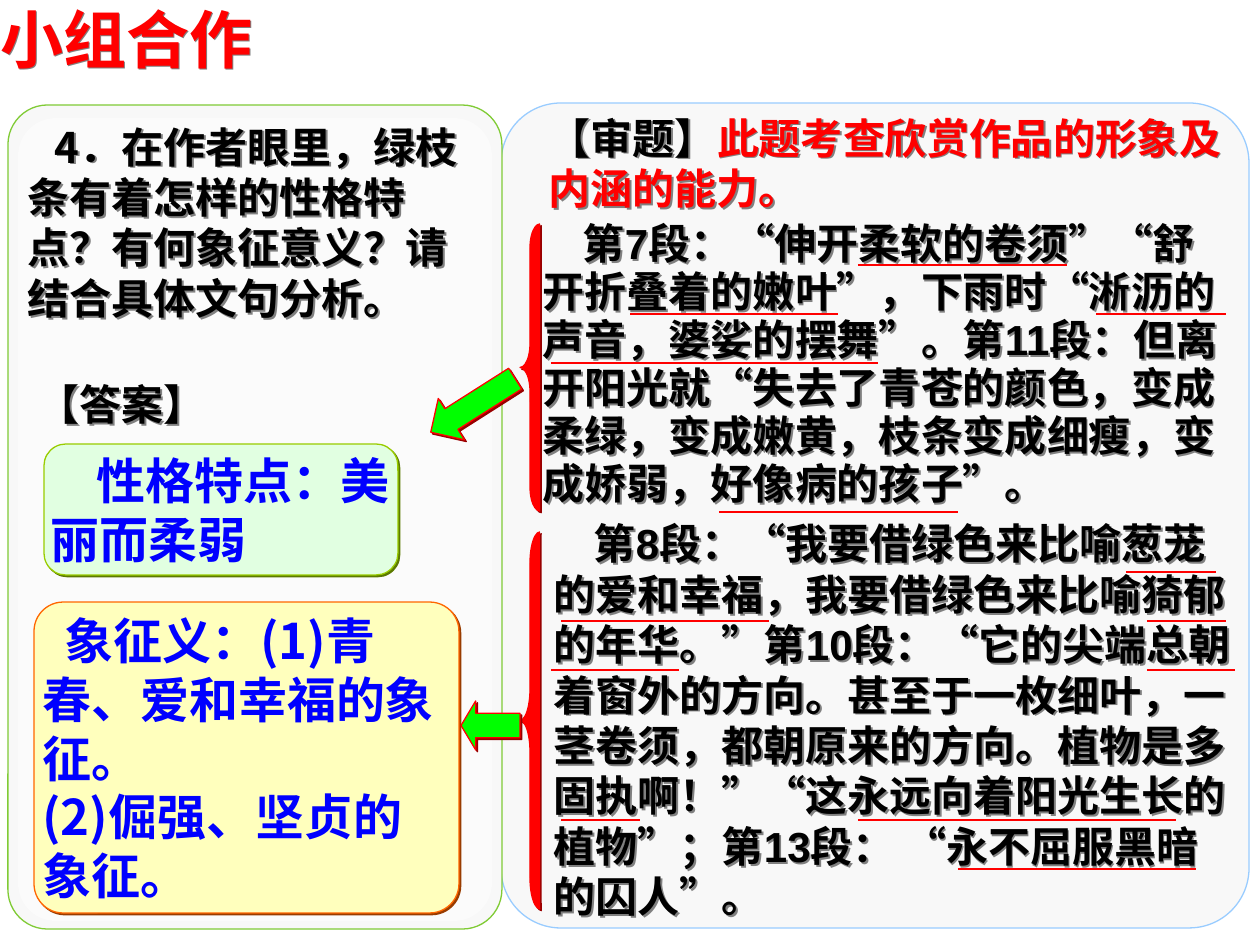
from lxml import etree
from pptx import Presentation
from pptx import util as u
from pptx.dml.color import RGBColor
from pptx.enum import shapes, text
from pptx.oxml.ns import qn

PX = 914400 / 126
COLORS = {
    "red": "FF0000", "black": "000000", "blue": "0000FF", "green": "00FF00",
    "panel": "F8F8F8", "white": "FFFFFF", "sky": "99CCFF", "leaf": "80CB35",
    "mint": "E1FFE1", "lime": "99CC00", "moss": "5B7900",
    "cream": "FFFFBD", "orange": "FF6600", "brown": "983C00",
    "maroon": "980000", "grey": "808080",
}
ARIAL, NOTO = "Arial", "Noto Sans CJK SC"
MSO = shapes.MSO_SHAPE
MIDDLE = text.MSO_ANCHOR.MIDDLE


def px(n):
    return u.Emu(round(n * PX))


def rgb(name):
    return RGBColor.from_string(COLORS[name])


def within(box, x, y, w, h):
    return px(box[0] + x), px(box[1] + y), px(w), px(h)


def add_shadow(sp, color):
    spPr = sp._element.spPr
    for old in spPr.findall(qn("a:effectLst")):
        spPr.remove(old)
    lst = etree.SubElement(spPr, qn("a:effectLst"))
    sh = etree.SubElement(lst, qn("a:outerShdw"), dist="17961", dir="2700000", algn="ctr", rotWithShape="0")
    etree.SubElement(sh, qn("a:srgbClr"), val=COLORS[color])


def add_shape(parent, kind, place, fill, line=None, adj=(), shadow=None):
    sp = parent.add_shape(kind, *place)
    sp.shadow.inherit = False
    for i, value in enumerate(adj):
        sp.adjustments[i] = value
    sp.fill.solid()
    sp.fill.fore_color.rgb = rgb(fill)
    if line:
        sp.line.color.rgb = rgb(line)
        sp.line.width = u.Pt(0.75)
    else:
        sp.line.fill.background()
    if shadow:
        add_shadow(sp, shadow)
    return sp


def write(sp, paragraphs, size, font, indent=0, spacing=1.2, anchor=None, inset=(13, 6, 13)):
    left, top, right = inset
    tf = sp.text_frame
    tf.word_wrap = True
    tf.auto_size = text.MSO_AUTO_SIZE.NONE
    tf.vertical_anchor = anchor or text.MSO_ANCHOR.TOP
    tf.margin_left, tf.margin_right = px(left), px(right)
    tf.margin_top = tf.margin_bottom = px(top)
    for i, runs in enumerate(paragraphs):
        p = tf.add_paragraph() if i else tf.paragraphs[0]
        p.alignment = text.PP_ALIGN.LEFT
        p.line_spacing = u.Pt(round(size * spacing, 1))
        p.space_before = u.Pt(0)
        pPr = p._p.get_or_add_pPr()
        pPr.set("hangingPunct", "0")
        if indent and i == 0:
            pPr.set("indent", str(px(indent)))
        for words, color in runs:
            r = p.add_run()
            r.text = words
            r.font.size = u.Pt(size)
            r.font.bold = True
            r.font.name = font
            r.font.color.rgb = rgb(color)
            rPr = r._r.get_or_add_rPr()
            rPr.set("lang", "zh-CN")
            rPr.find(qn("a:latin")).addnext(etree.Element(qn("a:ea"), typeface=NOTO))


def add_text(s, place, *args, **kwargs):
    sp = s.shapes.add_textbox(*place)
    add_shadow(sp, "grey")
    write(sp, *args, **kwargs)


def add_title(s, box):
    sp = s.shapes.title
    sp.left, sp.top, sp.width, sp.height = within(box, 0, 0, box[2], box[3])
    sp.fill.background()
    add_shadow(sp, "grey")
    write(sp, [[("小组合作", "red")]], 36, ARIAL, inset=(0, 0, 0))


def add_question_panel(s, box):
    group = s.shapes.add_group_shape().shapes
    add_shape(group, MSO.ROUNDED_RECTANGLE, within(box, 0, 0, box[2], box[3]), "panel", "leaf", [0.08])
    inner = add_shape(group, MSO.ROUNDED_RECTANGLE, within(box, 10, 13, 474, 803), "white", adj=[0.08])
    clr = inner._element.spPr.find(qn("a:solidFill"))[0]
    etree.SubElement(clr, qn("a:alpha"), val="50000")
    add_text(s, within(box, 7, 10, 456, 214),
             [[("4．在作者眼里，绿枝条有着怎样的性格特点？有何象征意义？请结合具体文句分析。", "black")]],
             24, NOTO, indent=27, anchor=MIDDLE)
    add_text(s, within(box, 17, 268, 238, 63), [[("【答案】", "black")]], 24, ARIAL)
    answers = [
        ((36, 339, 354, 131), "mint", "lime", "moss", 0.167, ARIAL, 46, 0, ["性格特点：美丽而柔弱"]),
        ((26, 497, 425, 311), "cream", "orange", "brown", 0.094, NOTO, 22, 12,
         ["象征义：(1)青春、爱和幸福的象征。", "(2)倔强、坚贞的象征。"]),
    ]
    for place, fill, line, shadow, adj, font, indent, right, words in answers:
        sp = add_shape(s.shapes, MSO.ROUNDED_RECTANGLE, within(box, *place), fill, line, [adj], shadow)
        write(sp, [[(w, "blue")] for w in words], 28, font, indent=indent,
              anchor=MIDDLE, inset=(0, 0, right))


def add_analysis_panel(s, box):
    add_shape(s.shapes, MSO.ROUNDED_RECTANGLE, within(box, 0, 0, box[2], box[3]), "panel", "sky", [0.08])
    add_text(s, within(box, 35, 3, 725, 113),
             [[("【审题】", "black"), ("此题考查欣赏作品的形象及内涵的能力。", "red")]],
             24, NOTO, anchor=MIDDLE)
    quotes = [
        ((29, 111, 714, 300), 1.14,
         "第7段：“伸开柔软的卷须”“舒开折叠着的嫩叶”，下雨时“淅沥的声音，婆娑的摆舞”。"
         "第11段：但离开阳光就“失去了青苍的颜色，变成柔绿，变成嫩黄，枝条变成细瘦，"
         "变成娇弱，好像病的孩子”。"),
        ((40, 409, 704, 416), 1.2,
         "第8段：“我要借绿色来比喻葱茏的爱和幸福，我要借绿色来比喻猗郁的年华。”"
         "第10段：“它的尖端总朝着窗外的方向。甚至于一枚细叶，一茎卷须，都朝原来的方向。"
         "植物是多固执啊！”“这永远向着阳光生长的植物”；第13段： “永不屈服黑暗的囚人”。"),
    ]
    for place, spacing, words in quotes:
        add_text(s, within(box, *place), [[(words, "black")]], 24, ARIAL, indent=40, spacing=spacing)
    underlines = {
        162: [(357, 566)], 211: [(129, 337), (595, 725)], 260: [(50, 377)],
        409: [(218, 457)], 469: [(625, 715)], 518: [(60, 268), (646, 725)],
        567: [(50, 178), (646, 734)], 717: [(60, 139), (357, 675)], 766: [(457, 695)],
    }
    for y, spans in underlines.items():
        for x1, x2 in spans:
            left, top, width, _ = within(box, x1, y, x2 - x1, 0)
            c = s.shapes.add_connector(shapes.MSO_CONNECTOR.STRAIGHT, left, top, left + width, top)
            c.line.color.rgb = rgb("red")
            c.line.width = u.Pt(1)
            etree.SubElement(c._element.spPr, qn("a:effectLst"))
    for y, h, curve in [(121, 287, 1.19), (429, 377, 1.56)]:
        add_shape(s.shapes, MSO.LEFT_BRACE, within(box, 19, y, 20, h), "red", "red", [curve, 0.5], "maroon")


def add_arrows(s, box):
    for place, head, turn in [((0, 0, 100, 49), 0.5, 327.6), ((38, 320, 59, 49), 0.3, 0)]:
        sp = add_shape(s.shapes, MSO.LEFT_ARROW, within(box, *place), "green", "red", [0.5, head], "maroon")
        sp.rotation = turn


def main():
    prs = Presentation()
    prs.slide_width, prs.slide_height = px(1260), px(945)
    s = prs.slides.add_slide(prs.slide_layouts[5])
    add_title(s, (0, 0, 422, 76))
    add_analysis_panel(s, (501, 103, 748, 825))
    add_question_panel(s, (8, 105, 494, 824))
    add_arrows(s, (423, 381, 100, 369))
    prs.save("out.pptx")


if __name__ == "__main__":
    main()
